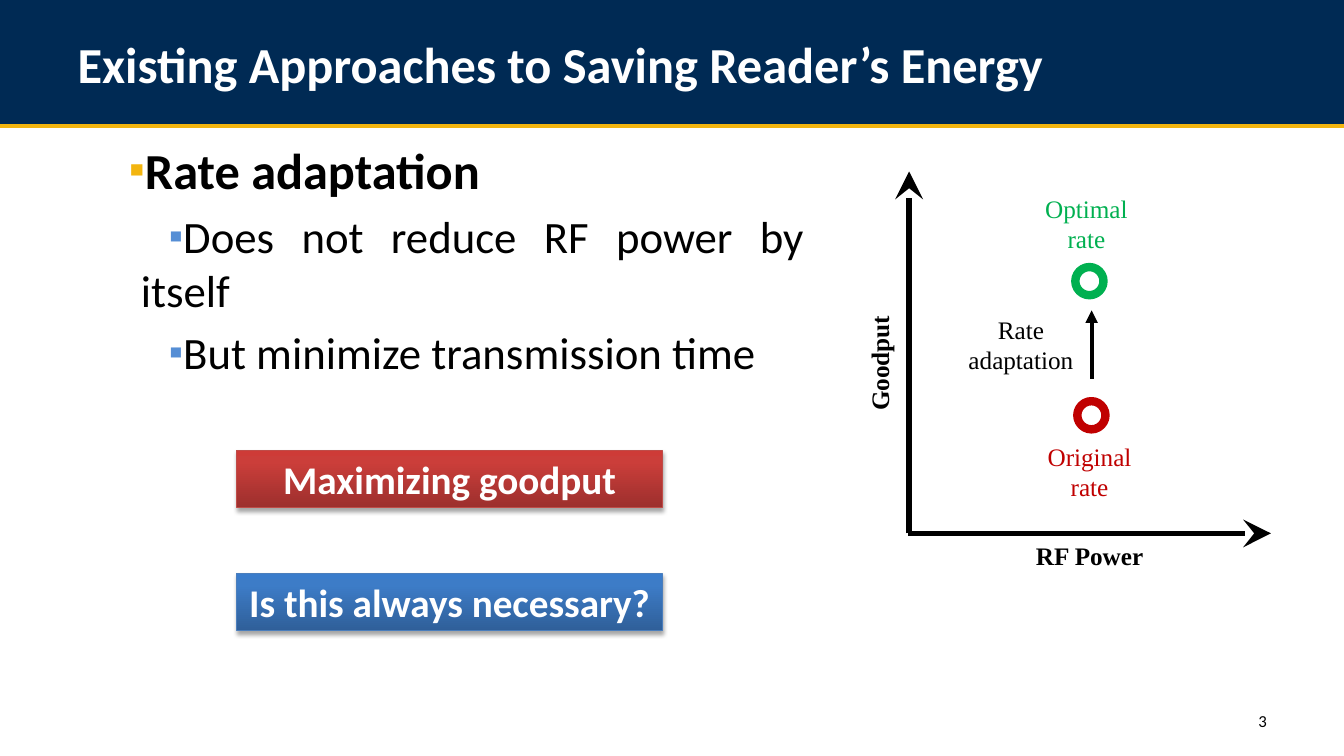
"""Build the slide on existing approaches to saving the reader's energy."""
from copy import deepcopy

from lxml import etree
from pptx import Presentation
from pptx.dml.color import RGBColor
from pptx.enum.shapes import MSO_CONNECTOR, MSO_SHAPE
from pptx.enum.text import MSO_ANCHOR, MSO_AUTO_SIZE, PP_ALIGN
from pptx.oxml.ns import qn
from pptx.util import Cm, Pt

RECTANGLE, OVAL = MSO_SHAPE.RECTANGLE, MSO_SHAPE.OVAL
STRAIGHT = MSO_CONNECTOR.STRAIGHT
LEFT, CENTER = PP_ALIGN.LEFT, PP_ALIGN.CENTER
RIGHT, JUSTIFY = PP_ALIGN.RIGHT, PP_ALIGN.JUSTIFY
TOP, MIDDLE = MSO_ANCHOR.TOP, MSO_ANCHOR.MIDDLE
FIT_TEXT = MSO_AUTO_SIZE.SHAPE_TO_FIT_TEXT

NAVY = RGBColor(0x00, 0x2A, 0x54)
GOLD = RGBColor(0xF3, 0xB5, 0x0F)
BULLET_BLUE = RGBColor(0x55, 0x8E, 0xD5)
WHITE = RGBColor(0xFF, 0xFF, 0xFF)
BLACK = RGBColor(0x00, 0x00, 0x00)
GREEN = RGBColor(0x00, 0xB0, 0x50)
RED = RGBColor(0xC0, 0x00, 0x00)
BOX_RED = RGBColor(0xBF, 0x4C, 0x48)
BOX_REDS = (RGBColor(0x9C, 0x2F, 0x2D), RGBColor(0xCB, 0x3E, 0x3A), RGBColor(0xCE, 0x3B, 0x37))
BOX_BLUE = RGBColor(0x4B, 0x7E, 0xBC)
BOX_BLUES = (RGBColor(0x2F, 0x5F, 0x99), RGBColor(0x3D, 0x7C, 0xC7), RGBColor(0x3A, 0x7C, 0xCB))
SERIF = "Times New Roman"


def write(frame, text, size=18, color=BLACK, bold=False, font="Calibri",
          align=CENTER, anchor=TOP):
    """Add a formatted paragraph to a text frame and return it."""
    frame.word_wrap = True
    frame.vertical_anchor = anchor
    paragraph = frame.add_paragraph() if frame.text else frame.paragraphs[0]
    paragraph.alignment = align
    run = paragraph.add_run()
    run.text = text
    run.font.size = Pt(size)
    run.font.name = font
    run.font.bold = bold
    run.font.color.rgb = color
    return paragraph


presentation = Presentation()
presentation.slide_width, presentation.slide_height = Cm(33.87), Cm(19.05)
slide = presentation.slides.add_slide(presentation.slide_layouts[5])
shapes = slide.shapes

title = shapes.title
title.left, title.top, title.width, title.height = Cm(1.7), Cm(0), Cm(30.48), Cm(3.18)
write(title.text_frame, "Existing Approaches to Saving Reader’s Energy",
      size=36, color=WHITE, bold=True, align=LEFT, anchor=MIDDLE)

band = shapes.add_shape(RECTANGLE, Cm(0), Cm(0), presentation.slide_width, Cm(3.18))
band.shadow.inherit = False
band.fill.solid()
band.fill.fore_color.rgb = NAVY
band.line.fill.background()
title._element.addprevious(band._element)

number = shapes.add_textbox(Cm(24.28), Cm(17.65), Cm(7.9), Cm(1.02))
write(number.text_frame, "3", size=12, align=RIGHT, anchor=MIDDLE)

body = shapes.add_textbox(Cm(1.7), Cm(3.38), Cm(18.82), Cm(6.91))
points = [
    ("Rate adaptation", 0, 36, GOLD, 0.41, 0.89),
    ("Does not reduce RF power by itself", 1, 32, BULLET_BLUE, 1.6, 0.71),
    ("But minimize transmission time", 1, 32, BULLET_BLUE, 1.6, 0.71),
]
for text, level, size, bullet_color, margin, indent in points:
    paragraph = write(body.text_frame, text, size=size, bold=level == 0, align=JUSTIFY)
    paragraph.level = level
    properties = paragraph._p.get_or_add_pPr()
    properties.set("marL", str(Cm(margin)))
    properties.set("indent", str(Cm(indent)))
    bullet_fill = etree.SubElement(properties, qn("a:buClr"))
    etree.SubElement(bullet_fill, qn("a:srgbClr"), val=str(bullet_color))
    etree.SubElement(properties, qn("a:buSzPct"), val="90000")
    etree.SubElement(properties, qn("a:buFont"), typeface="Arial")
    etree.SubElement(properties, qn("a:buChar"), char="▪")
    if level:
        paragraph.space_before = Pt(size * 0.2)

boxes = [
    ("Maximizing goodput", 11.35, BOX_RED, BOX_REDS),
    ("Is this always necessary?", 14.45, BOX_BLUE, BOX_BLUES),
]
for text, top, border, gradient_colors in boxes:
    box = shapes.add_shape(RECTANGLE, Cm(5.97), Cm(top), Cm(10.72), Cm(1.45))
    box.fill.gradient()
    box.fill.gradient_angle = 90
    stop_list = box._element.spPr.find(qn("a:gradFill")).find(qn("a:gsLst"))
    stop_list.append(deepcopy(stop_list[0]))
    for stop, position, color in zip(box.fill.gradient_stops, (0, 0.8, 1), gradient_colors):
        stop.position = position
        stop.color.rgb = color
    box.line.color.rgb = border
    box.line.width = Pt(0.75)
    box.shadow.inherit = False
    effects = box._element.spPr.find(qn("a:effectLst"))
    shadow = etree.SubElement(effects, qn("a:outerShdw"), blurRad=str(Pt(3.1)),
                              dist=str(Pt(1.8)), dir="5400000", rotWithShape="0")
    shadow_color = etree.SubElement(shadow, qn("a:srgbClr"), val=str(BLACK))
    etree.SubElement(shadow_color, qn("a:alpha"), val="35000")
    write(box.text_frame, text, size=28, color=WHITE, bold=True)
    box.text_frame.auto_size = FIT_TEXT

lines = [
    (0, 3.18, 33.87, 3.18, GOLD, 2.5, None, None),
    (22.91, 13.44, 22.91, 4.32, BLACK, 4, "stealth", "lg"),
    (22.89, 13.44, 32.03, 13.44, BLACK, 4, "stealth", "lg"),
    (27.51, 9.55, 27.51, 7.82, BLACK, 3, "triangle", "med"),
]
for start_x, start_y, end_x, end_y, color, width, head, head_size in lines:
    connector = shapes.add_connector(STRAIGHT, Cm(start_x), Cm(start_y), Cm(end_x), Cm(end_y))
    connector.line.color.rgb = color
    connector.line.width = Pt(width)
    if head:
        etree.SubElement(connector.line._get_or_add_ln(), qn("a:tailEnd"),
                         type=head, w=head_size, len=head_size)
    etree.SubElement(connector._element.spPr, qn("a:effectLst"))

for left, top, color in [(27.1, 6.73, GREEN), (27.15, 10.11, RED)]:
    rate_point = shapes.add_shape(OVAL, Cm(left), Cm(top), Cm(0.71), Cm(0.71))
    rate_point.shadow.inherit = False
    rate_point.fill.solid()
    rate_point.fill.fore_color.rgb = WHITE
    rate_point.line.color.rgb = color
    rate_point.line.width = Pt(6)

labels = [
    ("RF Power", 25.81, 13.49, 3.3, 0.99, BLACK, True, 0),
    ("Goodput", 20.62, 8.66, 3.05, 0.99, BLACK, True, 270),
    ("Optimal rate", 25.73, 4.75, 3.3, 1.8, GREEN, False, 0),
    ("Original rate", 25.81, 11, 3.3, 1.8, RED, False, 0),
    ("Rate adaptation", 24.08, 7.8, 3.3, 1.8, BLACK, False, 0),
]
for text, left, top, width, height, color, bold, rotation in labels:
    label = shapes.add_textbox(Cm(left), Cm(top), Cm(width), Cm(height))
    label.rotation = rotation
    write(label.text_frame, text, color=color, bold=bold, font=SERIF)
    label.text_frame.auto_size = FIT_TEXT

presentation.save("out.pptx")
